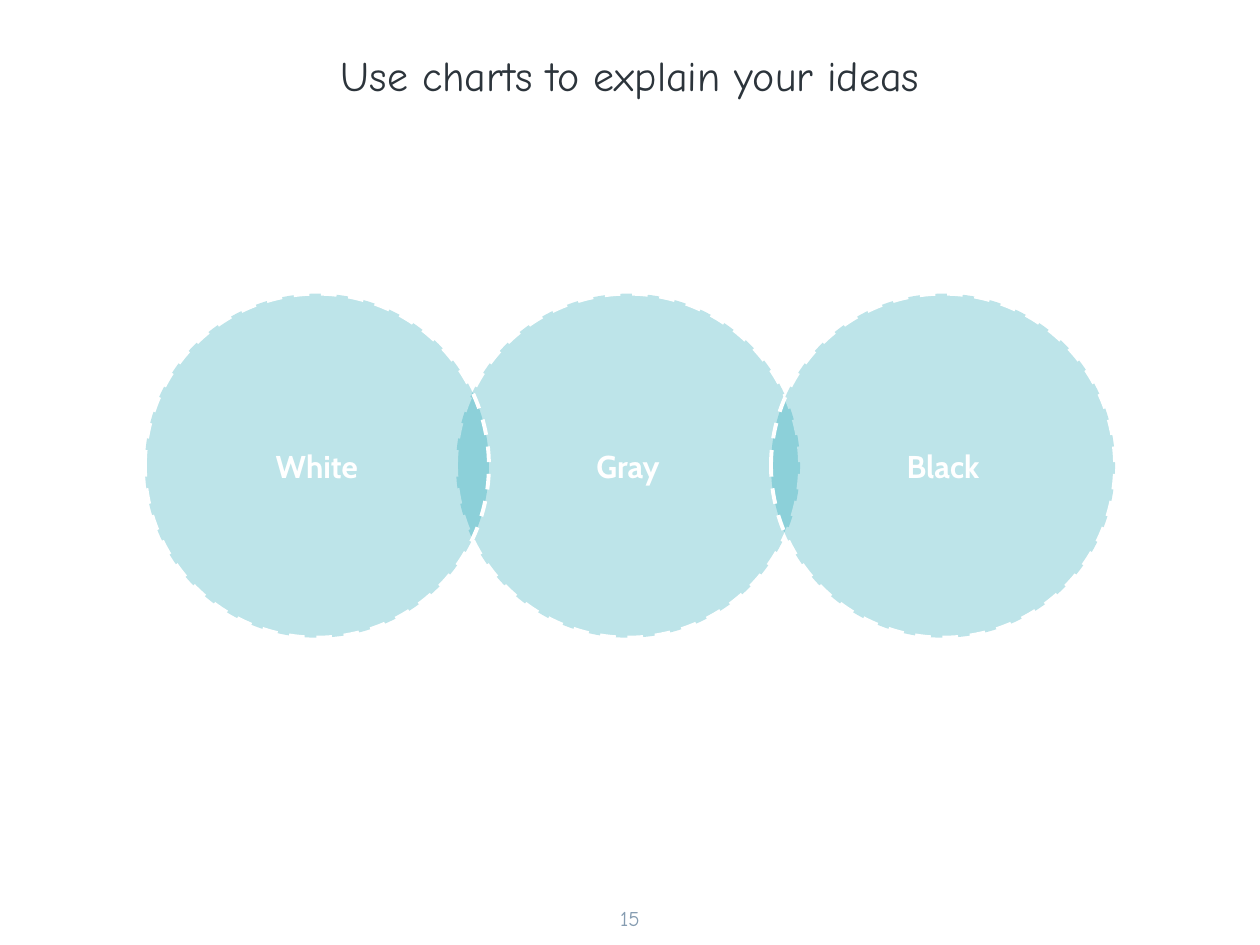
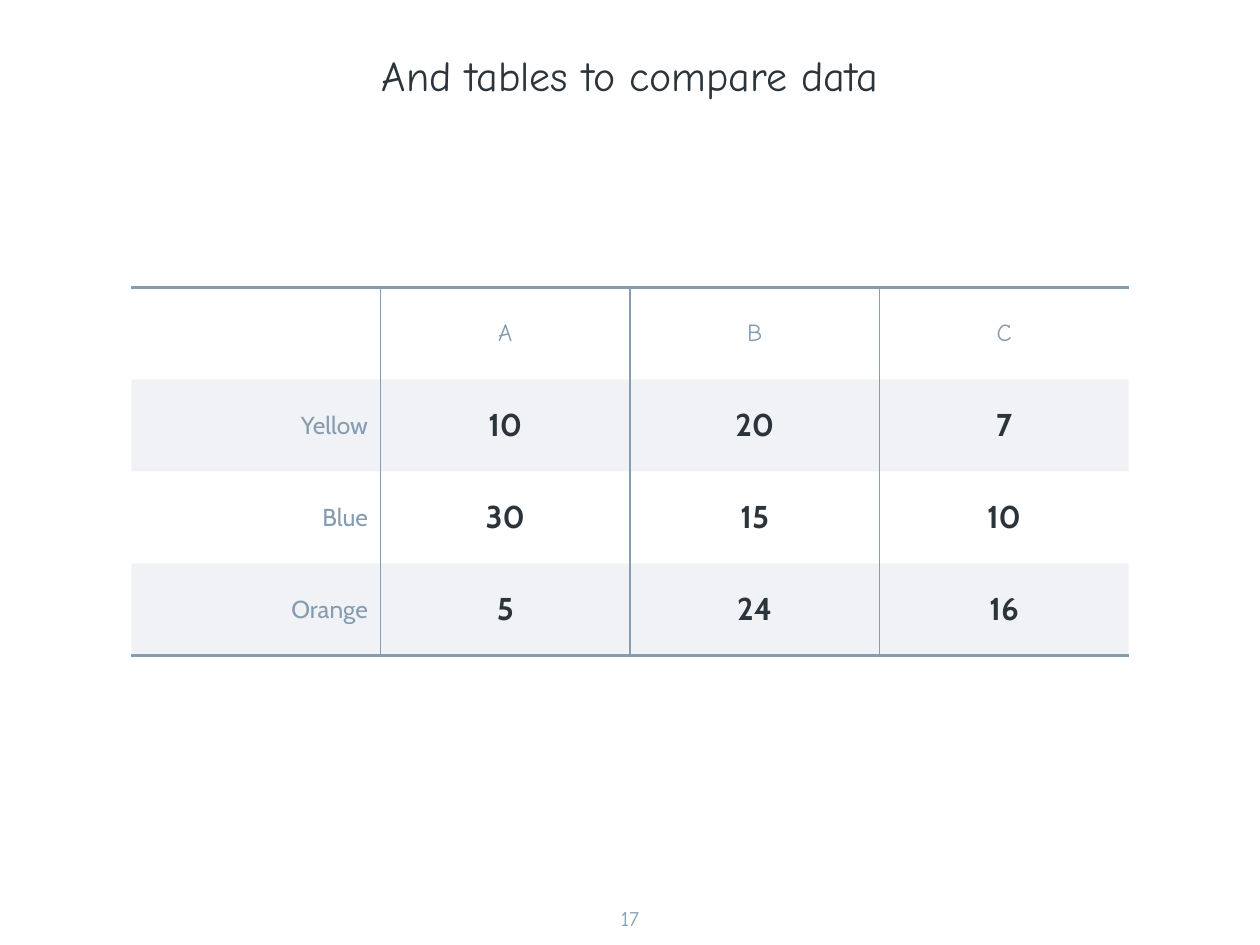
"""Build two slides: overlapping circles and a comparison table."""
import pptx
import pptx.dml.color
import pptx.enum.dml
import pptx.enum.shapes
import pptx.enum.text
import pptx.oxml
import pptx.oxml.ns
import pptx.util
from lxml import etree

Pt = pptx.util.Pt
qn = pptx.oxml.ns.qn
ALIGN = pptx.enum.text.PP_ALIGN
ANCHOR = pptx.enum.text.MSO_ANCHOR

COLORS = {"ink": "2C343B", "muted": "859CB1", "teal": "0198AD", "white": "FFFFFF"}
HAND, SANS = "Comic Neue", "Cabin"

CIRCLES_TITLE, CIRCLES_PAGE = "Use charts to explain your ideas", "15"
CIRCLES = [("Gray", 260.6), ("White", 82.8), ("Black", 440.6)]
CIRCLE_TOP, CIRCLE_SIZE = 167.8, 196.6

TABLE_TITLE, TABLE_PAGE = "And tables to compare data", "17"
TABLE_ROWS = [
    ("", "A", "B", "C"),
    ("Yellow", "10", "20", "7"),
    ("Blue", "30", "15", "10"),
    ("Orange", "5", "24", "16"),
]
TABLE_LEFT, TABLE_TOP = 75, 164.2
COLUMN_WIDTH, ROW_HEIGHT = 142.5, 52.6
INNER_RULE, OUTER_RULE = 0.75, 2.25


def rgb(name):
    return pptx.dml.color.RGBColor.from_string(COLORS[name])


def write(frame, text, font=SANS, size=18, color="ink", bold=False,
          align=ALIGN.CENTER, anchor=ANCHOR.MIDDLE):
    frame.word_wrap = True
    frame.vertical_anchor = anchor
    frame.margin_left = frame.margin_right = Pt(7.2)
    frame.margin_top = frame.margin_bottom = Pt(7.2)
    paragraph = frame.paragraphs[0]
    paragraph.alignment = align
    run = paragraph.add_run()
    run.text = text
    run.font.name = font
    run.font.size = Pt(size)
    run.font.bold = bold
    run.font.color.rgb = rgb(color)


def tint(fill, properties, color, percent):
    fill.solid()
    fill.fore_color.rgb = rgb(color)
    value = properties.find(qn("a:solidFill")).find(qn("a:srgbClr"))
    etree.SubElement(value, qn("a:alpha"), val=str(percent * 1000))


def add_page(deck, title, number):
    slide = deck.slides.add_slide(deck.slide_layouts[6])
    heading = slide.shapes.add_textbox(Pt(36), Pt(-2.2), Pt(648), Pt(90))
    write(heading.text_frame, title, font=HAND, size=24)
    footer = slide.shapes.add_textbox(Pt(338.4), Pt(510.5), Pt(43.2), Pt(29.5))
    write(footer.text_frame, number, font=HAND, size=12, color="muted",
          anchor=ANCHOR.TOP)
    return slide


def add_circle(slide, label, left):
    circle = slide.shapes.add_shape(
        pptx.enum.shapes.MSO_SHAPE.OVAL,
        Pt(left), Pt(CIRCLE_TOP), Pt(CIRCLE_SIZE), Pt(CIRCLE_SIZE))
    circle.shadow.inherit = False
    tint(circle.fill, circle._element.spPr, "teal", 26)
    circle.line.color.rgb = rgb("white")
    circle.line.width = Pt(2.25)
    circle.line.dash_style = pptx.enum.dml.MSO_LINE.DASH
    write(circle.text_frame, label, color="white", bold=True)


def set_borders(properties, widths):
    for side, width in widths.items():
        line = etree.SubElement(properties, qn(f"a:ln{side}"), w=str(int(Pt(width))))
        if width:
            fill = etree.SubElement(line, qn("a:solidFill"))
            etree.SubElement(fill, qn("a:srgbClr"), val=COLORS["muted"])
        else:
            etree.SubElement(line, qn("a:noFill"))


def cell_format(row, column):
    if row == 0:
        return {"font": HAND, "size": 14, "color": "muted"}
    if column == 0:
        return {"size": 14, "color": "muted", "align": ALIGN.RIGHT}
    return {"bold": True}


def add_comparison(slide):
    last_row, last_column = len(TABLE_ROWS) - 1, len(TABLE_ROWS[0]) - 1
    table = slide.shapes.add_table(
        last_row + 1, last_column + 1, Pt(TABLE_LEFT), Pt(TABLE_TOP),
        Pt(COLUMN_WIDTH * (last_column + 1)), Pt(ROW_HEIGHT * (last_row + 1))).table
    table.first_row = table.horz_banding = False
    for row, values in enumerate(TABLE_ROWS):
        for column, value in enumerate(values):
            cell = table.cell(row, column)
            if value:
                write(cell.text_frame, value, **cell_format(row, column))
            cell.vertical_anchor = ANCHOR.MIDDLE
            cell.margin_left = cell.margin_right = Pt(7.2)
            cell.margin_top = cell.margin_bottom = Pt(7.2)
            properties = cell._tc.get_or_add_tcPr()
            set_borders(properties, {
                "L": INNER_RULE if column > 0 else 0,
                "R": INNER_RULE if column < last_column else 0,
                "T": OUTER_RULE if row == 0 else 0,
                "B": OUTER_RULE if row == last_row else 0,
            })
            if row % 2:
                tint(cell.fill, properties, "muted", 12)
            else:
                cell.fill.background()


def main():
    deck = pptx.Presentation()
    deck.slide_width, deck.slide_height = Pt(720), Pt(540)
    circles_slide = add_page(deck, CIRCLES_TITLE, CIRCLES_PAGE)
    for label, left in CIRCLES:
        add_circle(circles_slide, label, left)
    add_comparison(add_page(deck, TABLE_TITLE, TABLE_PAGE))
    deck.save("out.pptx")


if __name__ == "__main__":
    main()
